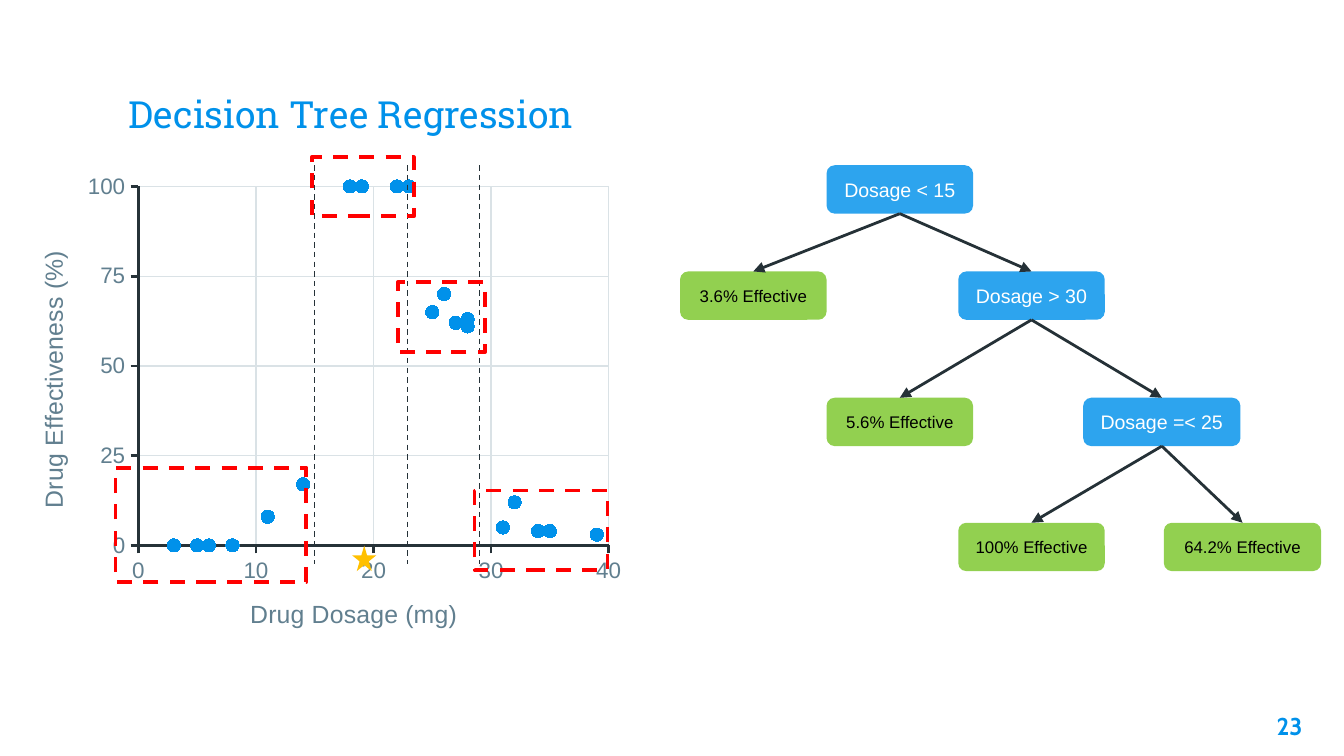
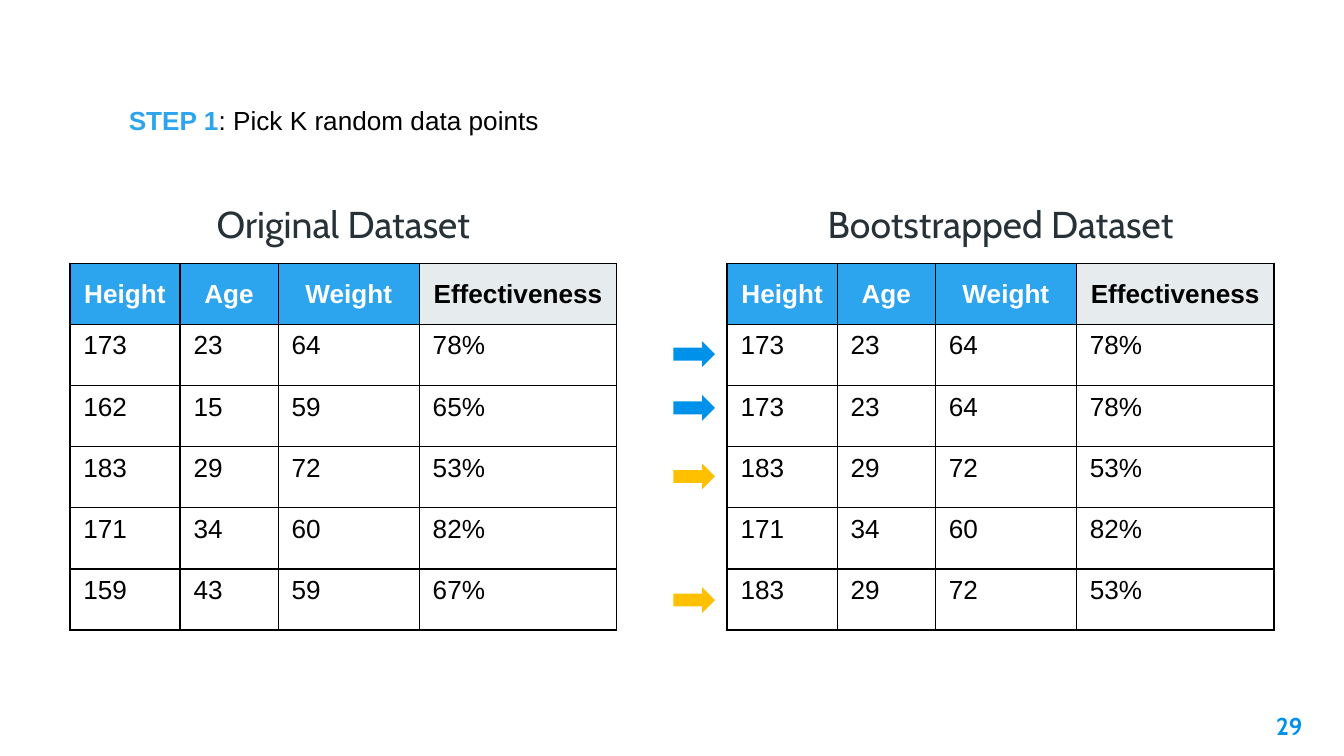
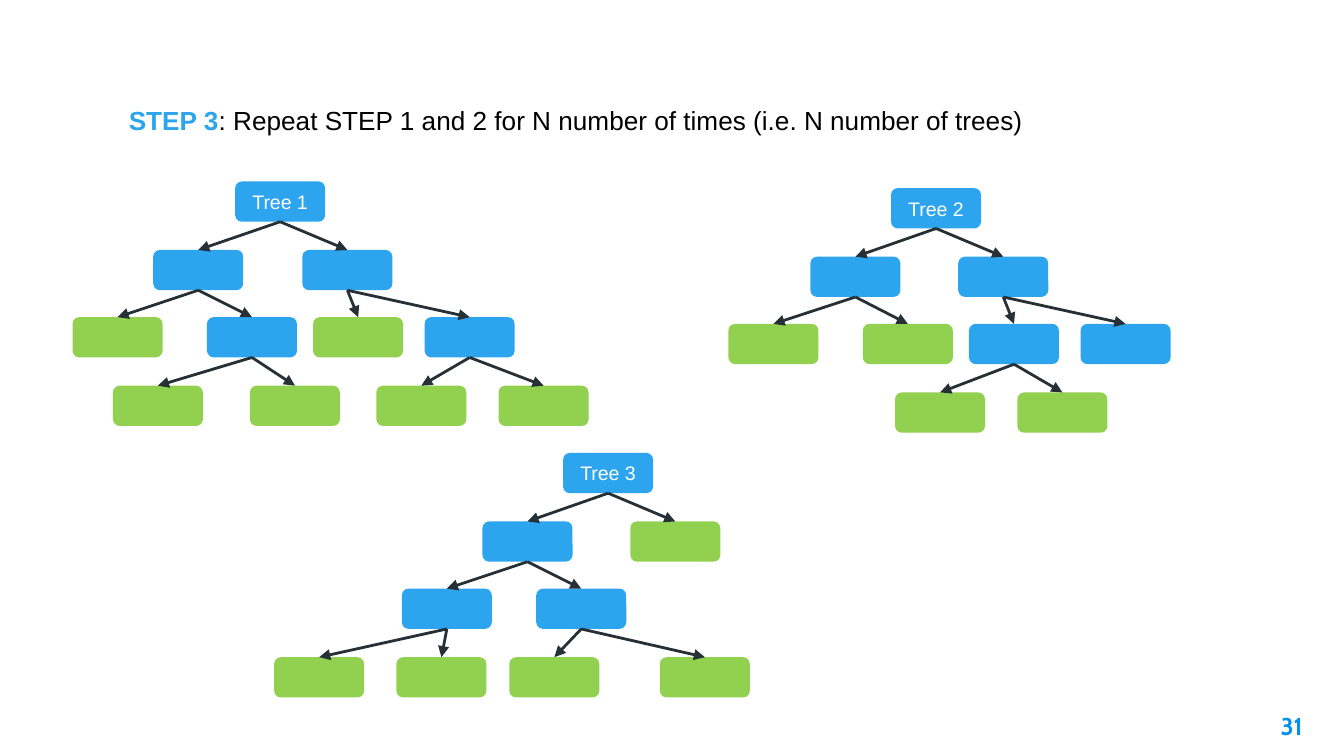
import dataclasses

import lxml.etree
import pptx
import pptx.chart.data
import pptx.dml.color
import pptx.enum.chart
import pptx.enum.dml
import pptx.enum.shapes
import pptx.enum.text
import pptx.oxml
import pptx.oxml.ns
import pptx.util

SHAPE = pptx.enum.shapes.MSO_SHAPE
ALIGN = pptx.enum.text.PP_ALIGN
ANCHOR = pptx.enum.text.MSO_ANCHOR
DASH = pptx.enum.dml.MSO_LINE.DASH
BOTTOM, TOP = 2, 0  # connection sites of a rectangle

WIDTH = 10
HEIGHT = WIDTH * 9 / 16
ACCENT, SPLIT_BLUE, LEAF_GREEN, AMBER = "0091EA", "2DA4EE", "92D050", "FFC000"
INK, ARROW_INK, AXIS_GREY, GRID_GREY = "263238", "253137", "617F8F", "DAE2E6"
PALE, RED, WHITE, BLACK = "E6ECEE", "FF0000", "FFFFFF", "000000"
BODY, DISPLAY, HEADLINE = "Arial", "Cabin", "Roboto Slab"


@dataclasses.dataclass
class Node:
    """A tree node; shift is its left edge relative to the root's left edge."""
    shift: float
    label: str = ""
    children: tuple = ()
    split: bool = True
    width: float = 0


def leaf(shift, label="", width=0):
    return Node(shift, label, split=False, width=width)


# Slide 1
DOSES = [(3, 0), (5, 0), (6, 0), (8, 0), (11, 8), (14, 17), (18, 100), (19, 100),
         (22, 100), (23, 100), (26, 70), (28, 61), (25, 65), (28, 63), (27, 62),
         (32, 12), (31, 5), (34, 4), (35, 4), (39, 3)]
CHART_BOX = (0.07, 1.23, 4.64, 3.67)
PLOT_SHARE = (0.207, 0.043, 0.754, 0.728)
# title, maximum, major unit, title position as shares of the chart
DOSE_AXIS = ("Drug Dosage (mg)", 40, 10, (0.379, 0.868))
EFFECT_AXIS = ("Drug Effectiveness (%)", 100, 25, (0.038, 0.164))
THRESHOLDS = [2.34, 3.57, 3.03]
CLUSTERS = [(0.86, 3.48, 1.42, 0.85), (3.53, 3.65, 0.99, 0.59),
            (2.32, 1.17, 0.76, 0.44), (2.96, 2.1, 0.65, 0.52)]
STAR = (2.62, 4.06, 0.18, 0.19)
DOSAGE_TREE = Node(0, "Dosage < 15", (
    leaf(-1.09, "3.6% Effective"),
    Node(0.98, "Dosage > 30", (
        leaf(0, "5.6% Effective"),
        Node(1.91, "Dosage =< 25", (
            leaf(0.98, "100% Effective"),
            leaf(2.51, "64.2% Effective", 1.17)), width=1.17)))))
DOSAGE_ROWS = [1.23, 2.02, 2.96, 3.89]

# Slide 2
COLUMNS = [("Height", 0.82), ("Age", 0.73), ("Weight", 1.05), ("Effectiveness", 1.47)]
PATIENTS = [("173", "23", "64", "78%"), ("162", "15", "59", "65%"),
            ("183", "29", "72", "53%"), ("171", "34", "60", "82%"),
            ("159", "43", "59", "67%")]
# caption, caption left, table left, patients in row order
DATASETS = [("Original Dataset", 0.85, 0.52, [0, 1, 2, 3, 4]),
            ("Bootstrapped Dataset", 5.74, 5.41, [0, 0, 2, 3, 2])]
TABLE_TOP, TABLE_HEIGHT = 1.96, 2.73
REPEATS = [(2.54, ACCENT), (2.94, ACCENT), (3.45, AMBER), (4.37, AMBER)]

# Slide 3: root left, root top, tree
FOREST = [
    (1.75, 1.35, Node(0, "Tree 1", (
        Node(-0.61, children=(
            leaf(-1.21),
            Node(-0.21, children=(leaf(-0.91), leaf(0.11))))),
        Node(0.5, children=(
            leaf(0.58),
            Node(1.41, children=(leaf(1.05), leaf(1.96)))))))),
    (6.63, 1.4, Node(0, "Tree 2", (
        Node(-0.6, children=(leaf(-1.21), leaf(-0.21))),
        Node(0.5, children=(
            Node(0.58, children=(leaf(0.03), leaf(0.94))),
            Node(1.41)))))),
    (4.19, 3.37, Node(0, "Tree 3", (
        Node(-0.6, children=(
            Node(-1.2, children=(leaf(-2.15), leaf(-1.24))),
            Node(-0.2, children=(leaf(-0.4), leaf(0.72))))),
        leaf(0.5)))),
]
FOREST_ROWS = [0, 0.51, 1.01, 1.52]


def rgb(color):
    return pptx.dml.color.RGBColor.from_string(color)


def inches(*lengths):
    return [pptx.util.Inches(length) for length in lengths]


def style_font(font, size, color, name=BODY, bold=False):
    font.size, font.name, font.bold = pptx.util.Pt(size), name, bold
    font.color.rgb = rgb(color)


def style_line(line, color, width, dash=None):
    line.color.rgb = rgb(color)
    line.width = pptx.util.Pt(width)
    if dash:
        line.dash_style = dash


def add_text(slide, box, runs, align=ALIGN.LEFT, anchor=ANCHOR.TOP, inset=0.1):
    """Runs are (text, size, color, font, bold) tuples of one paragraph."""
    frame = slide.shapes.add_textbox(*inches(*box)).text_frame
    frame.word_wrap, frame.vertical_anchor = True, anchor
    frame.margin_top = frame.margin_bottom = pptx.util.Inches(inset)
    paragraph = frame.paragraphs[0]
    paragraph.alignment = align
    for text, *style in runs:
        run = paragraph.add_run()
        run.text = text
        style_font(run.font, *style)


def add_shape(slide, kind, box, fill=None):
    shape = slide.shapes.add_shape(kind, *inches(*box))
    shape.shadow.inherit = False
    shape.line.fill.background()
    if fill:
        shape.fill.solid()
        shape.fill.fore_color.rgb = rgb(fill)
    else:
        shape.fill.background()
    return shape


def add_line(slide, start, end, width, dash=None):
    line = slide.shapes.add_connector(
        pptx.enum.shapes.MSO_CONNECTOR.STRAIGHT, *inches(*start, *end))
    style_line(line.line, ARROW_INK, width, dash)
    lxml.etree.SubElement(line._element.spPr, pptx.oxml.ns.qn("a:effectLst"))
    return line


def add_arrow(slide, parent, child):
    arrow = add_line(slide, (0, 0), (1, 1), 1.5)
    arrow.begin_connect(parent, BOTTOM)
    arrow.end_connect(child, TOP)
    tip = lxml.etree.SubElement(arrow.line._get_or_add_ln(), pptx.oxml.ns.qn("a:tailEnd"))
    tip.set("type", "triangle")


def add_tree(slide, node, left, rows, size):
    """Draw the node on the first row and its children on the rows below."""
    width, height = size
    box = add_shape(slide, SHAPE.ROUNDED_RECTANGLE,
                    (left + node.shift, rows[0], node.width or width, height),
                    SPLIT_BLUE if node.split else LEAF_GREEN)
    if node.label:
        paragraph = box.text_frame.paragraphs[0]
        paragraph.text, paragraph.alignment = node.label, ALIGN.CENTER
        style_font(paragraph.font, *((10.5, WHITE) if node.split else (9, BLACK)))
    for child in node.children:
        add_arrow(slide, box, add_tree(slide, child, left, rows[1:], size))
    return box


def set_layout(parent, index, shares, inner=False):
    """Place a chart part by shares of the chart: x, y and perhaps w, h."""
    for old in parent.findall(pptx.oxml.ns.qn("c:layout")):
        parent.remove(old)
    names = ("x", "y", "w", "h")[:len(shares)]
    target = '<c:layoutTarget val="inner"/>' if inner else ""
    modes = "".join(f'<c:{name}Mode val="edge"/>' for name in "xy")
    values = "".join(f'<c:{name} val="{share}"/>' for name, share in zip(names, shares))
    parent.insert(index, pptx.oxml.parse_xml(
        f'<c:layout {pptx.oxml.ns.nsdecls("c")}><c:manualLayout>'
        f"{target}{modes}{values}</c:manualLayout></c:layout>"))


def style_axis(axis, title, maximum, unit, title_share):
    axis.minimum_scale, axis.maximum_scale, axis.major_unit = 0, maximum, unit
    axis.major_tick_mark = pptx.enum.chart.XL_TICK_MARK.OUTSIDE
    axis.minor_tick_mark = pptx.enum.chart.XL_TICK_MARK.NONE
    axis.has_major_gridlines = True
    style_line(axis.major_gridlines.format.line, GRID_GREY, 0.75)
    style_line(axis.format.line, INK, 1.5)
    style_font(axis.tick_labels.font, 12, AXIS_GREY)
    paragraph = axis.axis_title.text_frame.paragraphs[0]
    paragraph.text = title
    style_font(paragraph.font, 13.3, AXIS_GREY)
    set_layout(axis.axis_title._element, 1, title_share)


def add_dose_chart(slide):
    data = pptx.chart.data.XyChartData()
    series = data.add_series("Series 1")
    for dose, effect in DOSES:
        series.add_data_point(dose, effect)
    chart = slide.shapes.add_chart(pptx.enum.chart.XL_CHART_TYPE.XY_SCATTER,
                                   *inches(*CHART_BOX), data).chart
    chart.has_legend = chart.has_title = False
    style_font(chart.font, 10, INK)
    plot = chart.plots[0]
    plot.vary_by_categories = False
    points = plot.series[0]
    points.format.line.fill.background()
    points.marker.style = pptx.enum.chart.XL_MARKER_STYLE.CIRCLE
    points.marker.size = 7
    points.marker.format.fill.solid()
    points.marker.format.fill.fore_color.rgb = rgb(ACCENT)
    points.marker.format.line.color.rgb = rgb(ACCENT)
    style_axis(chart.category_axis, *DOSE_AXIS)
    style_axis(chart.value_axis, *EFFECT_AXIS)
    set_layout(chart._chartSpace.chart.plotArea, 0, PLOT_SHARE, inner=True)


def add_borders(cell):
    for side in "LRTB":
        cell._tc.get_or_add_tcPr().append(pptx.oxml.parse_xml(
            f'<a:ln{side} {pptx.oxml.ns.nsdecls("a")} w="{pptx.util.Pt(0.75)}">'
            f'<a:solidFill><a:srgbClr val="{BLACK}"/></a:solidFill></a:ln{side}>'))


def add_dataset(slide, left, picks):
    rows = [[name for name, _ in COLUMNS]] + [PATIENTS[pick] for pick in picks]
    table = slide.shapes.add_table(
        len(rows), len(COLUMNS),
        *inches(left, TABLE_TOP, sum(width for _, width in COLUMNS),
                TABLE_HEIGHT)).table
    table.first_row = table.horz_banding = False
    for column, (_, width) in zip(table.columns, COLUMNS):
        column.width = pptx.util.Inches(width)
    for r, values in enumerate(rows):
        for c, value in enumerate(values):
            cell, header, target = table.cell(r, c), r == 0, c == len(COLUMNS) - 1
            add_borders(cell)
            paragraph = cell.text_frame.paragraphs[0]
            paragraph.text = value
            style_font(paragraph.font, 14, WHITE if header and not target else BLACK,
                       bold=header)
            if header:
                cell.fill.solid()
                cell.fill.fore_color.rgb = rgb(PALE if target else SPLIT_BLUE)
                cell.vertical_anchor = ANCHOR.MIDDLE
                paragraph.alignment = ALIGN.CENTER
            else:
                cell.fill.background()


def add_slide(deck, number, title_runs):
    """Add a blank slide with its title and page number."""
    slide = deck.slides.add_slide(deck.slide_layouts[6])
    add_text(slide, (0.86, 0.34, 8.28, 0.77), title_runs, anchor=ANCHOR.BOTTOM)
    add_text(slide, (9.19, 5.19, 0.6, 0.43),
             [(str(number), 13, ACCENT, DISPLAY, True)], ALIGN.RIGHT)
    return slide


def step_title(step, action):
    return [(f"STEP {step}", 14, SPLIT_BLUE, BODY, True), (f": {action}", 14, BLACK)]


def build_regression(deck):
    slide = add_slide(deck, 23, [("Decision Tree Regression", 20, ACCENT, HEADLINE)])
    add_dose_chart(slide)
    add_tree(slide, DOSAGE_TREE, 6.15, DOSAGE_ROWS, (1.09, 0.36))
    for x in THRESHOLDS:
        add_line(slide, (x, 1.23), (x, 4.2), 0.75, DASH)
    for box in CLUSTERS:
        style_line(add_shape(slide, SHAPE.RECTANGLE, box).line, RED, 2, DASH)
    add_shape(slide, SHAPE.STAR_5_POINT, STAR, AMBER)


def build_bootstrap(deck):
    slide = add_slide(deck, 29, step_title(1, "Pick K random data points"))
    for caption, caption_left, table_left, picks in DATASETS:
        add_dataset(slide, table_left, picks)
        add_text(slide, (caption_left, 1.45, 3.41, 0.44),
                 [(caption, 20, INK, DISPLAY)], ALIGN.CENTER, inset=0.05)
    for top, color in REPEATS:
        add_shape(slide, SHAPE.RIGHT_ARROW, (5.01, top, 0.31, 0.19), color)


def build_forest(deck):
    slide = add_slide(deck, 31, step_title(
        3, "Repeat STEP 1 and 2 for N number of times (i.e. N number of trees)"))
    for left, top, root in FOREST:
        add_tree(slide, root, left, [top + row for row in FOREST_ROWS], (0.67, 0.3))


def main():
    deck = pptx.Presentation()
    deck.slide_width, deck.slide_height = inches(WIDTH, HEIGHT)
    build_regression(deck)
    build_bootstrap(deck)
    build_forest(deck)
    deck.save("out.pptx")


if __name__ == "__main__":
    main()
